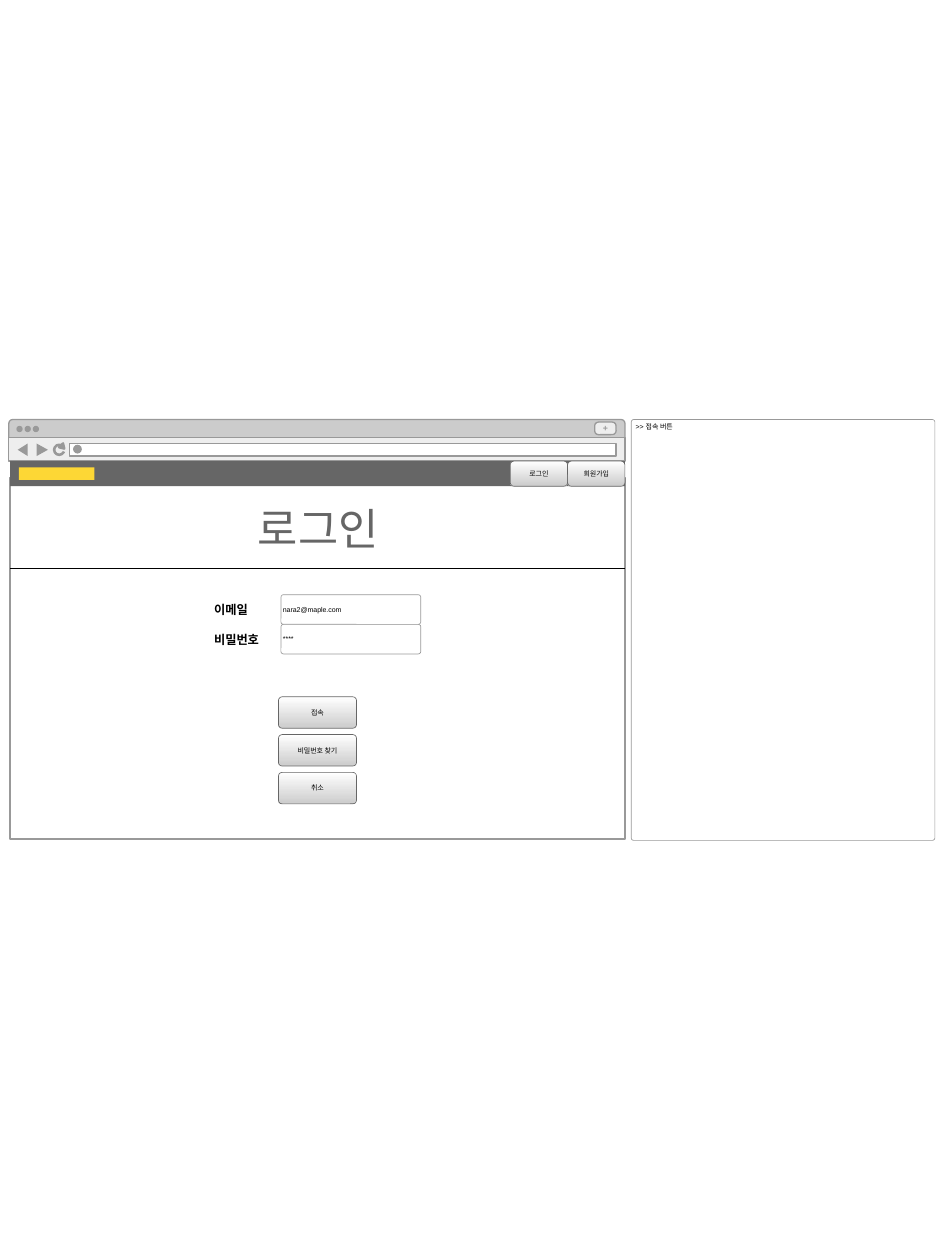
"""Build a login page wireframe with a browser window and a notes panel."""
from dataclasses import dataclass

from pptx import Presentation
from pptx.dml.color import RGBColor
from pptx.enum.shapes import MSO_CONNECTOR, MSO_SHAPE
from pptx.enum.text import MSO_ANCHOR, PP_ALIGN
from pptx.oxml.ns import qn
from pptx.util import Inches, Pt


@dataclass(frozen=True)
class Theme:
    white: str = "FFFFFF"
    pale: str = "EEEEEE"
    light: str = "CCCCCC"
    mid: str = "999999"
    dark: str = "666666"
    black: str = "000000"
    yellow: str = "FDD735"
    body_font: str = "Arial"
    title_font: str = "Cambria"
    small: int = 4
    plus: int = 5
    label: int = 7
    title: int = 25
    thin: float = 0.37
    frame: float = 0.75
    arc: float = 1.47


theme = Theme()


def add_box(kind, box, fill=None, line=None, width=theme.frame, radius=None):
    sp = s.shapes.add_shape(kind, *map(Inches, box))
    sp.shadow.inherit = False
    if radius is not None:
        sp.adjustments[0] = radius / min(box[2:])
    if isinstance(fill, tuple):
        sp.fill.gradient()
        sp.fill.gradient_angle = 270
        for stop, color in zip(sp.fill.gradient_stops, fill):
            stop.color.rgb = RGBColor.from_string(color)
    elif fill:
        sp.fill.solid()
        sp.fill.fore_color.rgb = RGBColor.from_string(fill)
    else:
        sp.fill.background()
    if line:
        sp.line.color.rgb = RGBColor.from_string(line)
        sp.line.width = Pt(width)
    else:
        sp.line.fill.background()
    return sp


def write(sp, text, size=theme.small, color=theme.black, font=theme.body_font,
          align=PP_ALIGN.CENTER, anchor=MSO_ANCHOR.MIDDLE, bold=False, inset=(0, 0)):
    tf = sp.text_frame
    tf.word_wrap = True
    tf.vertical_anchor = anchor
    tf.margin_left = tf.margin_right = Inches(inset[0])
    tf.margin_top = tf.margin_bottom = Inches(inset[1])
    p = tf.paragraphs[0]
    p.text = text
    p.alignment = align
    p.font.name = font
    p.font.size = Pt(size)
    p.font.bold = bold
    p.font.color.rgb = RGBColor.from_string(color)


prs = Presentation()
prs.slide_width, prs.slide_height = Inches(7.5), Inches(10)
s = prs.slides.add_slide(prs.slide_layouts[5])
RECT, ROUND, OVAL = MSO_SHAPE.RECTANGLE, MSO_SHAPE.ROUNDED_RECTANGLE, MSO_SHAPE.OVAL

add_box(ROUND, (0.07, 3.33, 4.89, 0.24), theme.light, theme.mid, radius=0.03)
add_box(RECT, (0.08, 3.79, 4.88, 2.87), theme.white, theme.mid)
new_tab = add_box(ROUND, (4.72, 3.35, 0.17, 0.1), theme.pale, theme.mid, radius=0.03)
write(new_tab, "+", theme.plus, theme.mid, bold=True)
for i in range(3):
    add_box(OVAL, (0.13 + i * 0.065, 3.38, 0.05, 0.05), theme.mid)

add_box(RECT, (0.07, 3.47, 4.89, 0.19), theme.pale, theme.mid)
add_box(RECT, (0.55, 3.52, 4.34, 0.1), theme.white, theme.mid)
add_box(OVAL, (0.58, 3.53, 0.07, 0.07), theme.mid)
reload_arc = add_box(MSO_SHAPE.ARC, (0.43, 3.53, 0.08, 0.08), line=theme.mid, width=theme.arc)
for i, degrees in enumerate((20, 335)):
    reload_arc.adjustments[i] = degrees * 0.6

back = [(0.14, 3.57), (0.22, 3.52), (0.22, 3.62)]
forward = [(0.38, 3.57), (0.29, 3.62), (0.29, 3.52)]
reload_head = [(0.51, 3.56), (0.47, 3.55), (0.5, 3.52)]
for points in (back, forward, reload_head):
    corners = [(Inches(x), Inches(y)) for x, y in points]
    builder = s.shapes.build_freeform(*corners[0])
    builder.add_line_segments(corners[1:])
    sp = builder.convert_to_shape()
    sp.shadow.inherit = False
    sp.fill.solid()
    sp.fill.fore_color.rgb = RGBColor.from_string(theme.mid)
    if points is reload_head:
        sp.line.color.rgb = RGBColor.from_string(theme.mid)
        sp.line.width = Pt(theme.arc)
    else:
        sp.line.fill.background()

panel = add_box(ROUND, (5.01, 3.33, 2.41, 3.34), theme.white, theme.mid, theme.thin, 0.02)
write(panel, ">> 접속 버튼", align=PP_ALIGN.LEFT, anchor=MSO_ANCHOR.TOP, inset=(0.03, 0.02))

for i, (label, value) in enumerate([("이메일", "nara2@maple.com"), ("비밀번호", "****")]):
    top = 4.72 + i * 0.235
    caption = s.shapes.add_textbox(Inches(1.7), Inches(top + 0.06), Inches(0.53), Inches(0.12))
    write(caption, label, theme.label, align=PP_ALIGN.LEFT, bold=True)
    field = add_box(ROUND, (2.23, top, 1.11, 0.235), theme.white, theme.mid, theme.thin, 0.02)
    write(field, value, align=PP_ALIGN.LEFT, inset=(0.01, 0))

add_box(RECT, (0.08, 3.66, 4.88, 0.2), theme.dark)
add_box(RECT, (0.15, 3.71, 0.6, 0.1), theme.yellow)

buttons = [(text, (2.21, 5.53 + i * 0.3, 0.62, 0.25))
           for i, text in enumerate(["접속", "비밀번호 찾기", "취소"])]
buttons += [(text, (4.05 + i * 0.455, 3.66, 0.455, 0.2))
            for i, text in enumerate(["로그인", "회원가입"])]
for text, box in buttons:
    button = add_box(ROUND, box, (theme.white, theme.light), theme.dark, theme.thin, 0.03)
    write(button, text)

rule = s.shapes.add_connector(MSO_CONNECTOR.STRAIGHT, Inches(0.08), Inches(4.51),
                              Inches(4.96), Inches(4.51))
rule.line.color.rgb = RGBColor.from_string(theme.black)
rule.line.width = Pt(theme.thin)
sp_pr = rule.element.spPr
sp_pr.append(sp_pr.makeelement(qn("a:effectLst"), {}))

title = s.shapes.title
title.left, title.top = Inches(0.08), Inches(3.98)
title.width, title.height = Inches(4.89), Inches(0.42)
write(title, "로그인", theme.title, theme.dark, theme.title_font, anchor=MSO_ANCHOR.TOP)
title.element.getparent().append(title.element)

prs.save("out.pptx")
